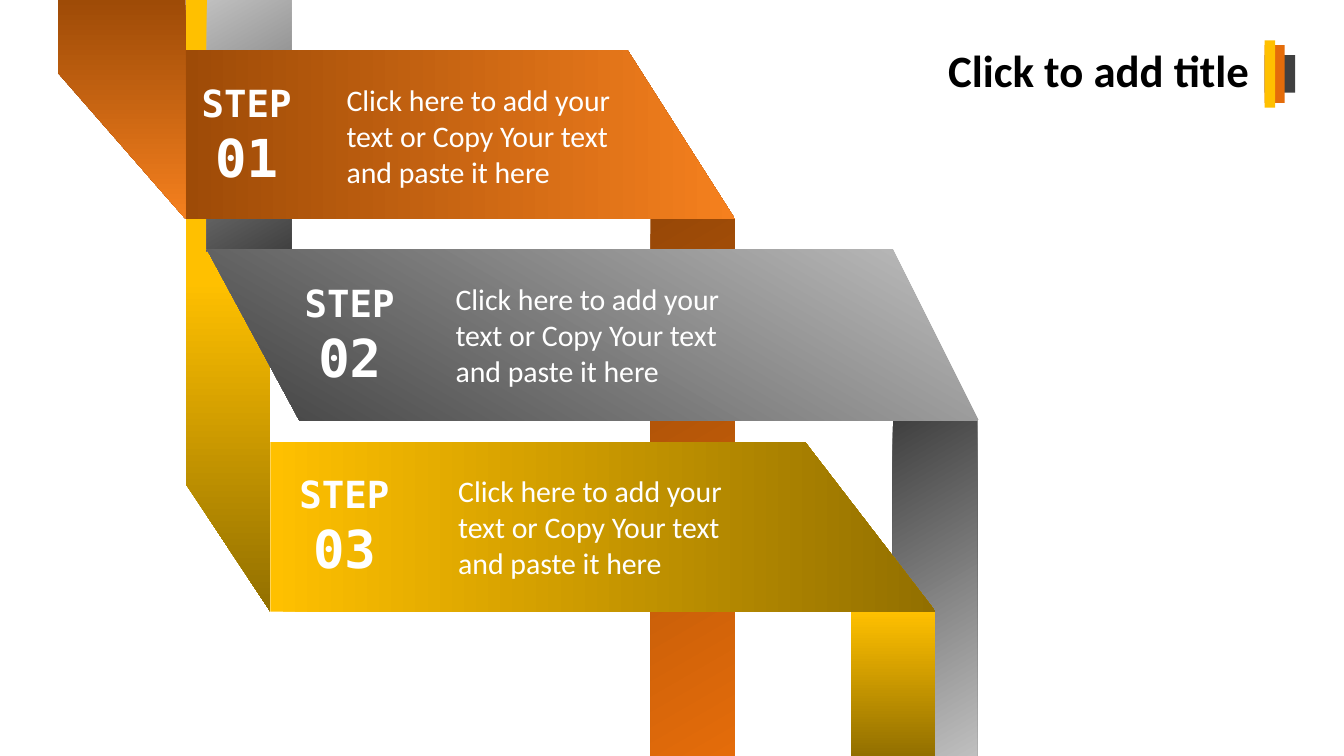
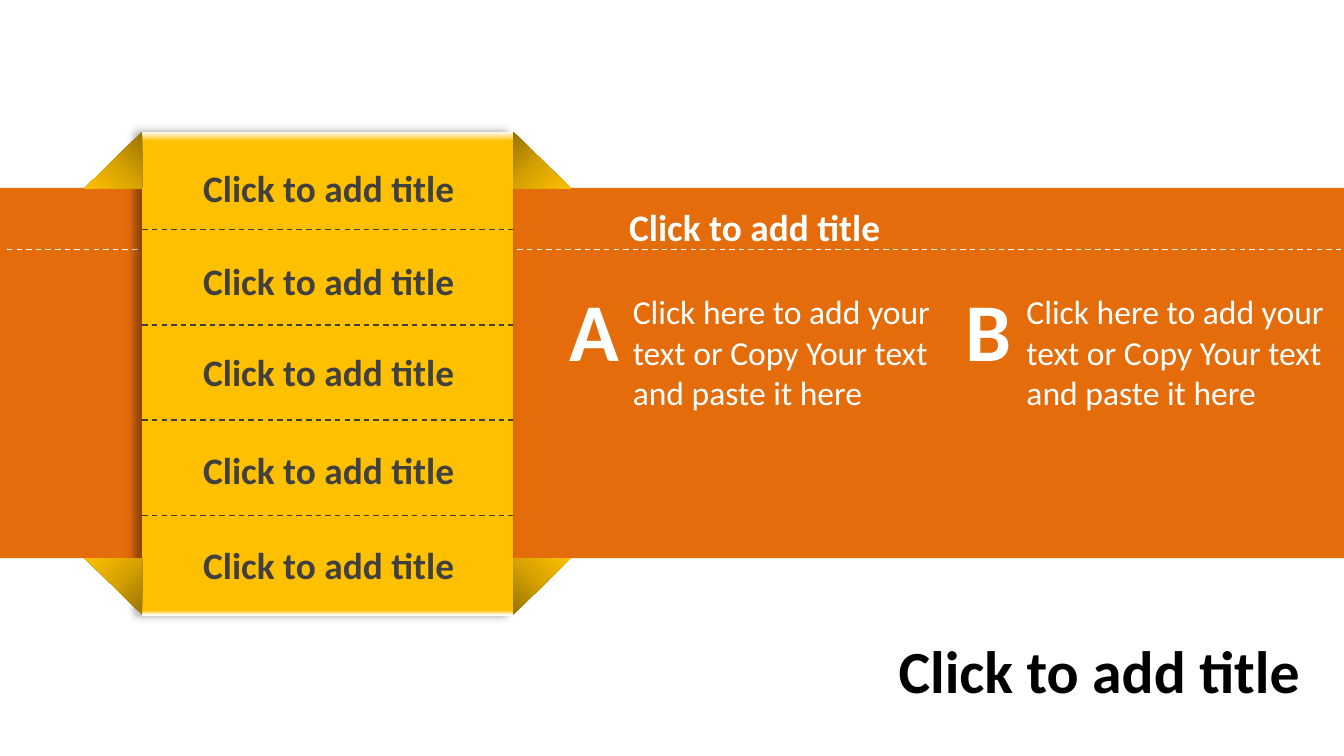
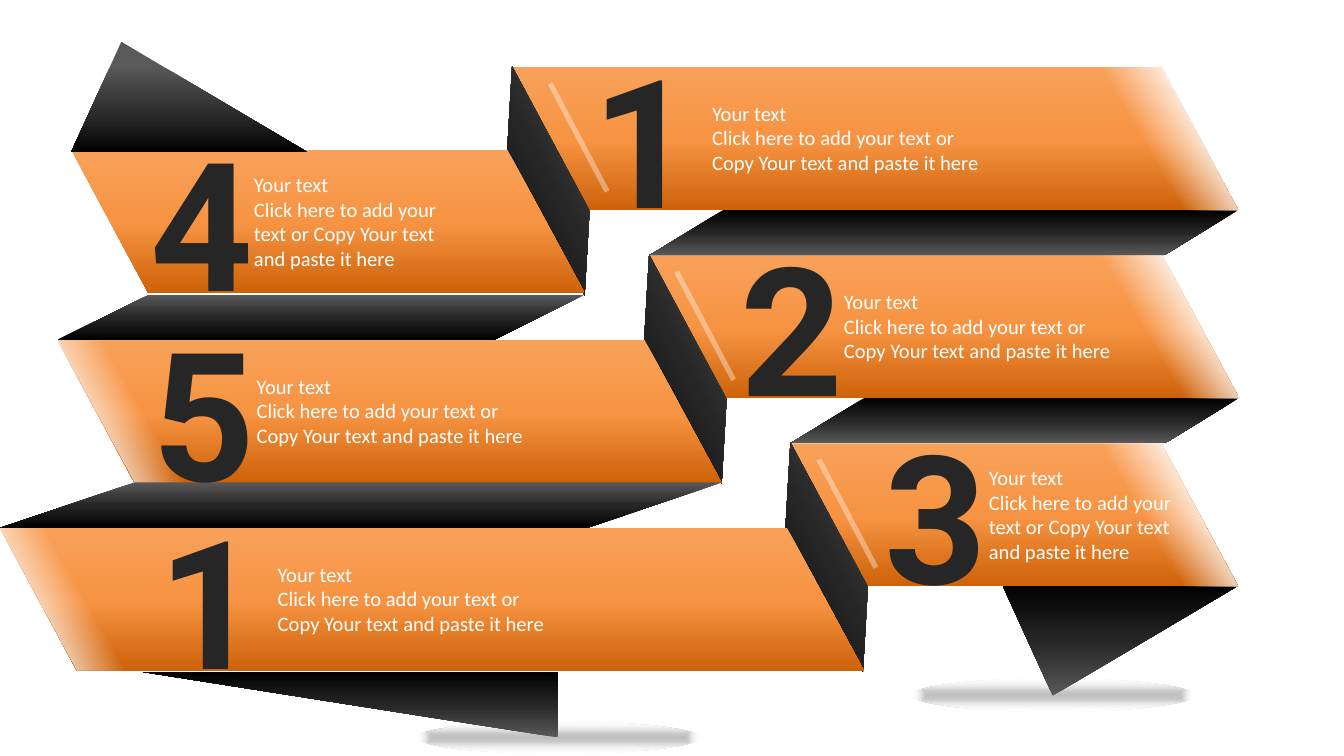
import pptx
import pptx.util
import pptx.dml.color
import pptx.enum.dml
import pptx.enum.shapes
import pptx.enum.text
import pptx.oxml
import pptx.oxml.ns
import lxml.etree

Cm = pptx.util.Cm
Pt = pptx.util.Pt
RGB = pptx.dml.color.RGBColor
qn = pptx.oxml.ns.qn
SHAPE = pptx.enum.shapes.MSO_SHAPE
ALIGN = pptx.enum.text.PP_ALIGN

# Colours
WHITE = RGB(0xFF, 0xFF, 0xFF)
BLACK = RGB(0, 0, 0)
INK = RGB(0x26, 0x26, 0x26)
CHARCOAL = RGB(0x40, 0x40, 0x40)
GRAPHITE = RGB(0x59, 0x59, 0x59)
SILVER = RGB(0xBF, 0xBF, 0xBF)
MIST = RGB(0xC9, 0xC9, 0xC9)
ORANGE = RGB(0xE4, 0x6C, 0x0A)
RUST = RGB(0x98, 0x48, 0x07)
BRIGHT_ORANGE = RGB(0xF5, 0x80, 0x1E)
DEEP_ORANGE = RGB(0x9E, 0x4B, 0x07)
YELLOW = RGB(0xFF, 0xC0, 0x00)
OLIVE = RGB(0x92, 0x6F, 0x00)

# Gradient stops: (percent, colour) or (percent, colour, opacity)
GREY_DOWN = [(0, SILVER), (100, CHARCOAL)]
GREY_UP = [(0, CHARCOAL), (100, SILVER)]
RUST_ORANGE = [(0, RUST), (100, ORANGE)]
ORANGE_RIBBON = [(0, DEEP_ORANGE), (100, BRIGHT_ORANGE)]
YELLOW_RIBBON = [(0, YELLOW), (100, OLIVE)]
YELLOW_TAIL = [(0, YELLOW), (46, YELLOW), (100, OLIVE)]
YELLOW_FOLD = [(0, RGB(0x97, 0x72, 0)), (50, RGB(0xD7, 0xA2, 0)), (100, YELLOW)]
YELLOW_PANEL = [(0, WHITE), (2, YELLOW), (99, YELLOW), (100, WHITE)]
BANNER = [(0, RGB(0xF8, 0xA1, 0x5A)), (50, RGB(0xF7, 0x94, 0x43)),
          (100, RGB(0xCD, 0x62, 0x09))]
DARK_UP = [(0, BLACK), (50, INK), (100, GRAPHITE)]
DARK_DOWN = [(0, GRAPHITE), (50, INK), (100, BLACK)]
DARK_TIP = [(22, GRAPHITE), (70, INK), (100, BLACK)]
FADE_RIGHT = [(9, WHITE, 0), (39, WHITE, 0), (74, WHITE), (100, WHITE)]
FADE_LEFT = [(0, WHITE), (20, WHITE), (56, WHITE, 0), (100, WHITE, 0)]
FLOOR = [(0, SILVER), (24, MIST), (100, WHITE, 0)]

# Content, with lengths in centimetres
TITLE = "Click to add title"
BODY = ["Click here to add your", "text or Copy Your text", "and paste it here"]
NARROW = ["Your text"] + BODY
WIDE = ["Your text", "Click here to add your text or",
        "Copy Your text and paste it here"]

# Ribbons from back to front: a box or an outline, stops, angle
RIBBONS = [
    ((16.87, 7.95, 1.6, 6.34), GREY_UP, 60),
    ((12.29, 4.14, 1.6, 10.15), RUST_ORANGE, 60),
    ([(3.51, 0), (5.11, 0), (5.11, 11.56), (3.51, 9.14)], YELLOW_TAIL, 90),
    ((3.91, 0, 1.6, 4.75), GREY_DOWN, 60),
    ([(1.09, 0), (3.51, 0), (3.51, 4.14), (1.09, 1.37)], ORANGE_RIBBON, 90),
    ([(3.51, 0.95), (11.86, 0.95), (13.89, 4.14), (3.51, 4.14)], ORANGE_RIBBON, 0),
    ([(5.11, 8.35), (15.21, 8.35), (17.68, 11.56), (5.11, 11.56)], YELLOW_RIBBON, 0),
    ([(3.91, 4.71), (16.87, 4.71), (18.49, 7.95), (5.66, 7.95)], GREY_DOWN, 120),
    ((16.08, 11.56, 1.6, 2.73), YELLOW_RIBBON, 90),
]
# Number, label place, body place
STEPS = [("01", (3.56, 1.4), (6.3, 1.42)),
         ("02", (5.51, 5.18), (8.36, 5.18)),
         ("03", (5.41, 8.79), (8.41, 8.81))]
TITLE_BARS = [(0.58, 0.71, CHARCOAL), (0.38, 1.09, ORANGE), (0.2, 1.27, YELLOW)]

MENU_TOPS = [3, 4.75, 6.48, 8.33, 10.13]
# Letter, its left, its width, left of its text
COLUMNS = [("A", 10.49, 1.47, 11.71), ("B", 17.98, 1.4, 19.15)]

# Left, top, width, number, number left, text left, text width, lines
RIGHT_BANNERS = [
    (9.68, 1.27, 13.72, "1", 10.95, 13.21, 6.5, WIDE),
    (12.27, 4.83, 11.15, "2", 13.74, 15.7, 6.5, WIDE),
    (14.94, 8.38, 8.46, "3", 16.46, 18.44, 4.11, NARROW),
]
LEFT_BANNERS = [
    (1.35, 2.84, 9.7, "4", 2.59, 4.55, 4.11, NARROW),
    (1.09, 6.43, 12.55, "5", 2.64, 4.6, 6.5, WIDE),
    (0, 9.98, 16.33, "1", 2.74, 5, 6.5, WIDE),
]
GLINT_LEFTS = [9.78, 12.17, 14.86]
BANNER_HEIGHT, FOLD_HEIGHT, FADE_WIDTH = 2.7, 0.86, 2.72
SLANT = 0.539


def add_element(parent, tag, **attributes):
    child = lxml.etree.SubElement(parent, qn(tag))
    for name, value in attributes.items():
        child.set(name, str(value))
    return child


def add_colour(parent, colour, opacity=100):
    node = add_element(parent, "a:srgbClr", val=colour)
    if opacity < 100:
        add_element(node, "a:alpha", val=opacity * 1000)


def paint(shape, fill, angle=90):
    """Fill with one colour, or with a list of stops; angle None means radial."""
    shape.shadow.inherit = False
    shape.line.fill.background()
    if not isinstance(fill, list):
        shape.fill.solid()
        shape.fill.fore_color.rgb = fill
        return shape
    shape.fill.gradient()
    gradient = shape.element.spPr.find(qn("a:gradFill"))
    for child in list(gradient):
        gradient.remove(child)
    gradient.set("rotWithShape", "1")
    stops = add_element(gradient, "a:gsLst")
    for percent, *colour in fill:
        add_colour(add_element(stops, "a:gs", pos=percent * 1000), *colour)
    if angle is None:
        radial = add_element(gradient, "a:path", path="shape")
        add_element(radial, "a:fillToRect", l=50000, t=50000, r=50000, b=50000)
    else:
        add_element(gradient, "a:lin", ang=angle * 60000, scaled=0)
    return shape


def add_preset(page, kind, box, fill, angle=90, adjust=None, flip="", turn=0):
    shape = page.shapes.add_shape(kind, *[Cm(length) for length in box])
    if adjust is not None:
        shape.adjustments[0] = adjust
    shape.rotation = turn
    for axis in flip:
        shape.element.spPr.find(qn("a:xfrm")).set("flip" + axis, "1")
    return paint(shape, fill, angle)


def add_outline(page, points, fill, angle):
    corners = [(Cm(x), Cm(y)) for x, y in points]
    builder = page.shapes.build_freeform(*corners[0])
    builder.add_line_segments(corners[1:], close=True)
    return paint(builder.convert_to_shape(), fill, angle)


def add_text(page, box, lines, size, colour=WHITE, font="Calibri", bold=False,
             align=None, wrap=False):
    """Lines are strings; size is one number or one for each line."""
    frame = page.shapes.add_textbox(*[Cm(length) for length in box]).text_frame
    frame.word_wrap = wrap
    frame.auto_size = pptx.enum.text.MSO_AUTO_SIZE.SHAPE_TO_FIT_TEXT
    sizes = size if isinstance(size, list) else [size] * len(lines)
    for index, (line, points) in enumerate(zip(lines, sizes)):
        para = frame.add_paragraph() if index else frame.paragraphs[0]
        para.alignment = align
        span = para.add_run()
        span.text = line
        span.font.name = font
        span.font.size = Pt(points)
        span.font.bold = bold
        span.font.color.rgb = colour
    return frame


def add_title(page, box, size, colour=BLACK):
    add_text(page, box, [TITLE], size, colour, bold=True, align=ALIGN.CENTER)


def add_dashes(page, left, right, y, colour):
    line = page.shapes.add_connector(pptx.enum.shapes.MSO_CONNECTOR.STRAIGHT,
                                     Cm(left), Cm(y), Cm(right), Cm(y))
    line.line.color.rgb = colour
    line.line.width = Pt(0.75)
    line.line.dash_style = pptx.enum.dml.MSO_LINE.DASH
    add_element(line.element.spPr, "a:effectLst")


def build_steps(page):
    for place, stops, angle in RIBBONS:
        if isinstance(place, tuple):
            add_preset(page, SHAPE.RECTANGLE, place, stops, angle)
        else:
            add_outline(page, place, stops, angle)
    for number, label_at, body_at in STEPS:
        label = add_text(page, (*label_at, 2.39, 2.31), ["STEP", number], [20, 28],
                         font="DejaVu Sans Mono", bold=True)
        label.paragraphs[1].alignment = ALIGN.CENTER
        add_text(page, (*body_at, 5.69, 2.31), BODY, 16)
    for width, height, colour in TITLE_BARS:
        add_preset(page, SHAPE.RECTANGLE, (23.9, 1.4 - height / 2, width, height), colour)
    add_title(page, (17.63, 0.69, 6.27, 1.27), 24)


def build_menu(page):
    left, right, top, bottom = 2.69, 9.7, 2.49, 11.63
    add_preset(page, SHAPE.RECTANGLE, (0, 3.55, 25.4, 7), ORANGE)
    add_dashes(page, 0.13, 25.4, 4.72, WHITE)

    # Panel with a soft shadow, and its four folded corners
    panel = add_preset(page, SHAPE.RECTANGLE, (left, top, right - left, bottom - top),
                       YELLOW_PANEL)
    effects = panel.element.spPr.find(qn("a:effectLst"))
    shadow = add_element(effects, "a:outerShdw", blurRad=Pt(5), dist=Pt(4),
                         dir=180 * 60000, algn="ctr", rotWithShape=0)
    add_colour(shadow, BLACK, 40)
    for x, across in ((left - 1.09, "H"), (right, "")):
        for y, down in ((top, ""), (bottom - 1.08, "V")):
            add_preset(page, SHAPE.RIGHT_TRIANGLE, (x, y, 1.09, 1.07), YELLOW_FOLD, 45,
                       flip=across + down)

    # Menu entries and the rules between them
    for row in range(len(MENU_TOPS) - 1):
        add_dashes(page, left, right, 4.34 + row * 1.8, CHARCOAL)
    for y in MENU_TOPS:
        add_title(page, (3.56, y, 5.31, 1.12), 20, CHARCOAL)

    # Text on the band
    add_title(page, (11.61, 3.73, 5.31, 1.12), 20, WHITE)
    for letter, x, width, text_left in COLUMNS:
        add_text(page, (x, 5.16, width, 2.13), [letter], 44, bold=True,
                 align=ALIGN.CENTER)
        add_text(page, (text_left, 5.38, 6.35, 2.57), BODY, 18)
    add_title(page, (16.69, 11.86, 8.18, 1.63), 32)


def add_banners(page, banners):
    for left, top, width, *_ in banners:
        add_preset(page, SHAPE.PARALLELOGRAM, (left, top, width, BANNER_HEIGHT), BANNER,
                   adjust=SLANT, flip="H")


def add_fade(page, left, top, stops):
    add_preset(page, SHAPE.PARALLELOGRAM, (left, top, FADE_WIDTH, BANNER_HEIGHT), stops,
               210, adjust=SLANT, flip="H")


def add_folds(page, banners, stops, slants):
    """Join each banner's right end to the left end of the next one."""
    for upper, lower, slant in zip(banners, banners[1:], slants):
        box = (lower[0], lower[1] - FOLD_HEIGHT, upper[0] + upper[2] - lower[0],
               FOLD_HEIGHT)
        add_preset(page, SHAPE.PARALLELOGRAM, box, stops, adjust=slant)


def add_banner_texts(page, banners):
    for _, top, _, number, number_left, text_left, width, lines in banners:
        add_text(page, (number_left, top - 0.84, 2.08, 4.37), [number], 96, INK,
                 font="Roboto", bold=True)
        height = 0.33 + 0.45 * len(lines)
        add_text(page, (text_left, top + (BANNER_HEIGHT - height) / 2, width, height),
                 lines, 11, wrap=True)


def build_banners(page):
    for x, y in ((7.9, 13.64), (17.25, 12.83)):
        add_preset(page, SHAPE.OVAL, (x, y, 5.31, 0.61), FLOOR, None)

    # Right side
    add_banners(page, RIGHT_BANNERS)
    add_folds(page, RIGHT_BANNERS, DARK_UP, [1.632, 1.632])
    add_preset(page, SHAPE.ISOSCELES_TRIANGLE, (18.95, 11.07, 4.45, 2.08), DARK_DOWN,
               adjust=0.788, turn=180)
    for (left, top, width, *_), glint_left in zip(RIGHT_BANNERS, GLINT_LEFTS):
        add_preset(page, SHAPE.RECTANGLE, (glint_left, top + 1.28, 2.31, 0.1),
                   [(0, WHITE, 37), (100, WHITE, 37)], turn=62.2)
        add_fade(page, left + width - FADE_WIDTH, top, FADE_RIGHT)
    add_banner_texts(page, RIGHT_BANNERS)

    # Links between the two sides
    for left, top, *_ in RIGHT_BANNERS:
        add_preset(page, SHAPE.PARALLELOGRAM, (left - 1.55, top + 1.73, 4.47, 0.84),
                   DARK_DOWN, adjust=1.632, flip="H", turn=61.8)

    # Left side
    add_banners(page, LEFT_BANNERS)
    for left, top, *_ in LEFT_BANNERS[1:]:
        add_fade(page, left, top, FADE_LEFT)
    add_folds(page, LEFT_BANNERS, DARK_DOWN, [2.007, 2.961])
    add_preset(page, SHAPE.ISOSCELES_TRIANGLE, (2.69, 12.7, 7.85, 1.24), DARK_DOWN,
               adjust=0, turn=180)
    add_preset(page, SHAPE.ISOSCELES_TRIANGLE, (1.35, 0.79, 4.45, 2.08), DARK_TIP,
               adjust=0.788, flip="H")
    add_banner_texts(page, LEFT_BANNERS)


def main():
    deck = pptx.Presentation()
    deck.slide_width, deck.slide_height = Cm(25.4), Cm(14.29)
    for build in (build_steps, build_menu, build_banners):
        build(deck.slides.add_slide(deck.slide_layouts[6]))
    deck.save("out.pptx")


if __name__ == "__main__":
    main()
